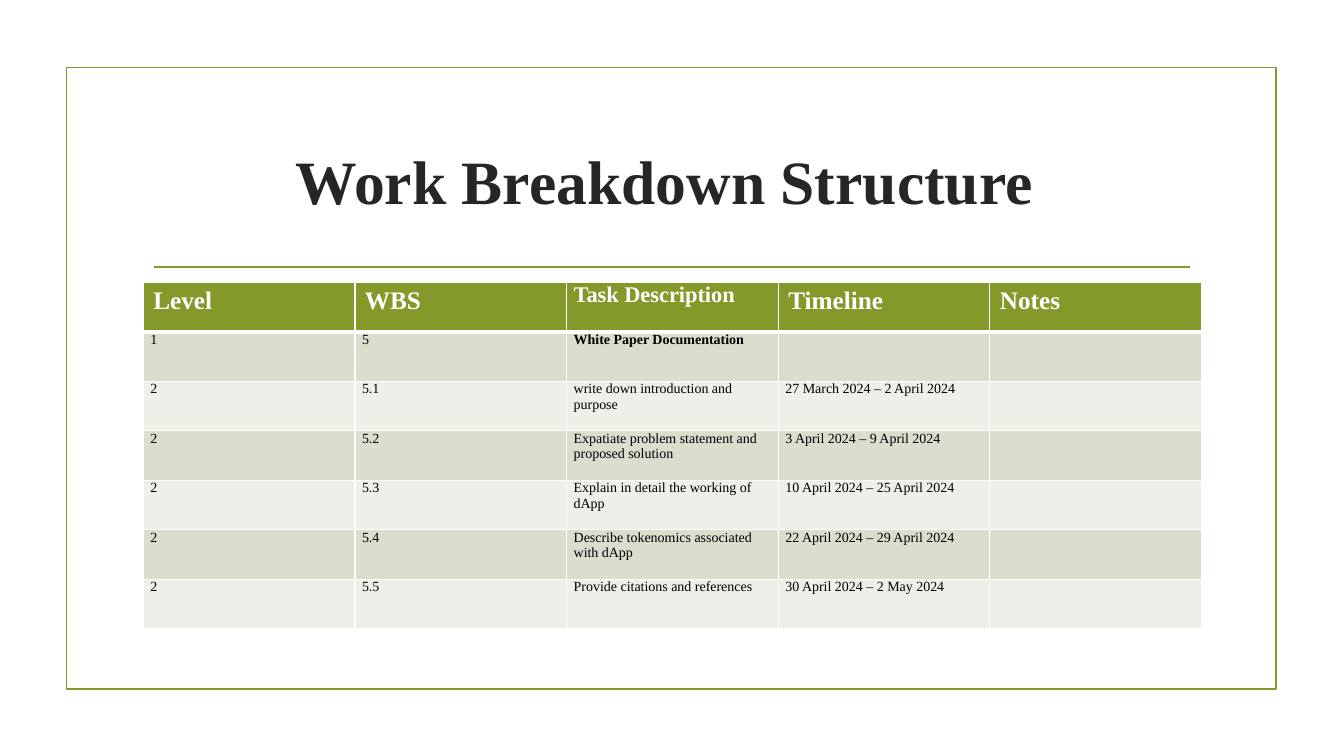
from pptx import Presentation
from pptx import util as u
from pptx.dml.color import RGBColor
from pptx.enum import shapes, text
from pptx.oxml.ns import qn
from lxml import etree

FONT = "Times New Roman"
GREEN, WHITE, INK = "83992A", "FFFFFF", "262626"
BANDS = ("D9DECD", "EDEFE8")
HEADERS = ("Level", "WBS", "Task Description", "Timeline", "Notes")
TASKS = (
    ("1", "5", "White Paper Documentation", "", ""),
    ("2", "5.1", "write down introduction and purpose", "27 March 2024 – 2 April 2024", ""),
    ("2", "5.2", "Expatiate problem statement and proposed solution", "3 April 2024 – 9 April 2024", ""),
    ("2", "5.3", "Explain in detail the working of dApp", "10 April 2024 – 25 April 2024", ""),
    ("2", "5.4", "Describe tokenomics associated with dApp", "22 April 2024 – 29 April 2024", ""),
    ("2", "5.5", "Provide citations and references", "30 April 2024 – 2 May 2024", ""),
)


def color(value):
    return RGBColor.from_string(value)


def apply(target, values):
    for name, value in values.items():
        setattr(target, name, value)


def box(*lengths):
    return [u.Cm(length) for length in lengths]


def format_font(font, size, value, bold):
    apply(font, {"name": FONT, "size": u.Pt(size), "bold": bold})
    font.color.rgb = color(value)


def format_line(line):
    line.color.rgb = color(GREEN)
    line.width = u.Pt(1.25)


def add_frame(slide):
    frame = slide.shapes.add_shape(shapes.MSO_SHAPE.RECTANGLE, *box(1.68, 1.7, 30.48, 15.67))
    frame.shadow.inherit = False
    frame.fill.background()
    format_line(frame.line)


def add_rule(slide):
    rule = slide.shapes.add_connector(shapes.MSO_CONNECTOR.STRAIGHT, *box(3.89, 6.73, 30, 6.73))
    etree.SubElement(rule._element.spPr, qn("a:effectLst"))
    format_line(rule.line)


def set_title(slide, wording):
    title = slide.shapes.title
    apply(title, dict(zip(("left", "top", "width", "height"), box(3.61, 2.72, 26.67, 3.63))))
    frame = title.text_frame
    apply(frame, {"text": wording, "word_wrap": True, "vertical_anchor": text.MSO_ANCHOR.MIDDLE})
    paragraph = frame.paragraphs[0]
    paragraph.alignment = text.PP_ALIGN.CENTER
    format_font(paragraph.font, 44, INK, True)


def set_borders(cell, bottom):
    properties = cell._tc.get_or_add_tcPr()
    widths = {"lnL": 1, "lnR": 1, "lnT": 1, "lnB": bottom}
    for position, (side, width) in enumerate(widths.items()):
        line = etree.Element(qn(f"a:{side}"), w=str(u.Pt(width)))
        fill = etree.SubElement(line, qn("a:solidFill"))
        etree.SubElement(fill, qn("a:srgbClr"), val=WHITE)
        properties.insert(position, line)


def fill_cell(cell, wording, fill, size, value, bold, tight):
    cell.text = wording
    cell.fill.solid()
    cell.fill.fore_color.rgb = color(fill)
    if tight:
        apply(cell, {"margin_left": u.Cm(0.18), "margin_right": u.Cm(0.18),
                     "margin_top": 0, "margin_bottom": 0})
    format_font(cell.text_frame.paragraphs[0].font, size, value, bold)


def add_task_table(slide):
    table = slide.shapes.add_table(len(TASKS) + 1, len(HEADERS), *box(3.61, 7.11, 26.67, 8.74)).table
    for column, heading in enumerate(HEADERS):
        tight = heading == "Task Description"
        cell = table.cell(0, column)
        fill_cell(cell, heading, GREEN, 16 if tight else 18, WHITE, True, tight)
        set_borders(cell, 3)
    for row, task in enumerate(TASKS, 1):
        for column, wording in enumerate(task):
            cell = table.cell(row, column)
            bold = row == 1 and column == 2
            fill_cell(cell, wording, BANDS[(row - 1) % 2], 10, "000000", bold, True)
            set_borders(cell, 1)


def main():
    presentation = Presentation()
    apply(presentation, {"slide_width": u.Cm(33.87), "slide_height": u.Cm(19.05)})
    slide = presentation.slides.add_slide(presentation.slide_layouts[5])
    add_frame(slide)
    add_rule(slide)
    set_title(slide, "Work Breakdown Structure ")
    add_task_table(slide)
    presentation.save("out.pptx")


if __name__ == "__main__":
    main()
